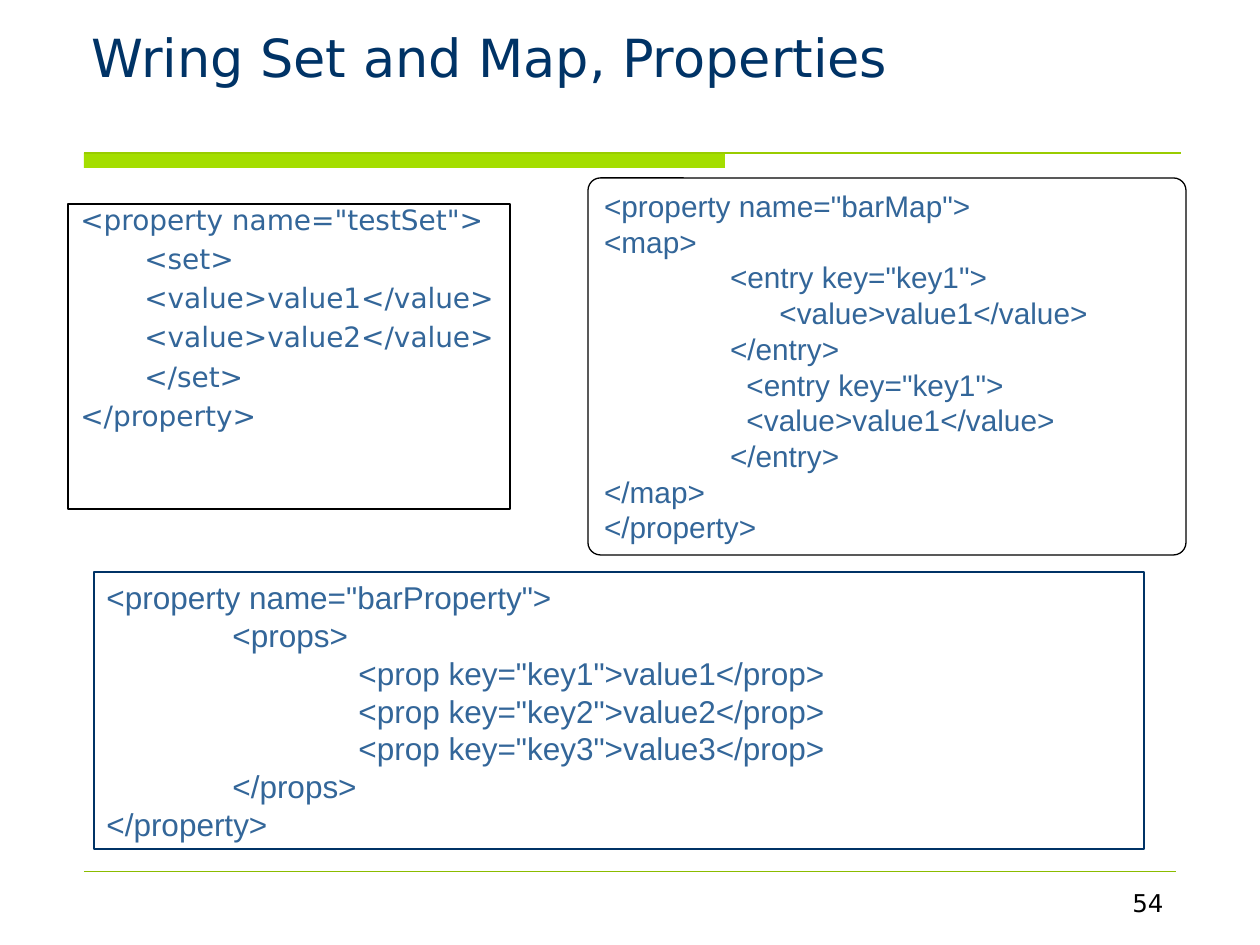
"""Build the slide on writing set, map and properties values in XML."""
from dataclasses import dataclass

from lxml.etree import SubElement
from pptx import Presentation
from pptx.dml.color import RGBColor
from pptx.enum.shapes import MSO_CONNECTOR, MSO_SHAPE
from pptx.enum.text import MSO_ANCHOR, MSO_AUTO_SIZE, PP_ALIGN
from pptx.oxml.ns import qn
from pptx.slide import Slide
from pptx.text.text import TextFrame
from pptx.util import Emu, Pt

EMU_PER_PX = 914400 / 126
TAB_STOPS = [126, 252]
COLORS = {
    "title": "003366",
    "code": "336699",
    "bar": "A4DE00",
    "rule": "99CC00",
    "footer_rule": "8BBC00",
    "black": "000000",
    "white": "FFFFFF",
}


@dataclass(frozen=True)
class CodePanel:
    left: int
    top: int
    width: int
    height: int
    code: str
    size: int
    font: str = "Arial"
    border: str = "black"
    outline: MSO_SHAPE = MSO_SHAPE.RECTANGLE
    hanging: int = 0
    fits_text: bool = True


@dataclass(frozen=True)
class Rule:
    left: int
    right: int
    y: int
    color: str
    weight: float


SET_CODE = """<property name="testSet">
\t<set>
\t<value>value1</value>
\t<value>value2</value>
\t</set>
</property>"""

MAP_CODE = """<property name="barMap">
<map>
\t<entry key="key1">
\t      <value>value1</value>
\t</entry>
\t  <entry key="key1">
\t  <value>value1</value>
\t</entry>
</map>
</property>"""

PROPERTIES_CODE = """<property name="barProperty">
\t<props>
\t\t<prop key="key1">value1</prop>
\t\t<prop key="key2">value2</prop>
\t\t<prop key="key3">value3</prop>
\t</props>
</property>"""

PANELS = [
    CodePanel(68, 204, 442, 305, SET_CODE, 16, font="DejaVu Sans", hanging=64, fits_text=False),
    CodePanel(588, 178, 598, 377, MAP_CODE, 17, outline=MSO_SHAPE.ROUNDED_RECTANGLE),
    CodePanel(94, 572, 1050, 277, PROPERTIES_CODE, 18, border="title"),
]
RULES = [
    Rule(84, 1181, 153, "rule", 0.75),
    Rule(84, 1176, 871, "footer_rule", 0.25),
]


def px(length: int) -> Emu:
    """Turn pixels into EMU."""
    return Emu(round(length * EMU_PER_PX))


def rgb(name: str) -> RGBColor:
    """Look up a named colour."""
    return RGBColor.from_string(COLORS[name])


def format_text(frame: TextFrame, font: str, size: int, color: str, align: PP_ALIGN) -> None:
    """Format every run of a text frame alike."""
    for paragraph in frame.paragraphs:
        paragraph.alignment = align
        for run in paragraph.runs:
            run.font.name = font
            run.font.size = Pt(size)
            run.font.color.rgb = rgb(color)


def hang_lines(frame: TextFrame, indent: int) -> None:
    """Give lines a hanging indent and tight, evenly parted spacing."""
    for index, paragraph in enumerate(frame.paragraphs):
        properties = paragraph._p.get_or_add_pPr()
        properties.set("marL", str(px(indent)))
        properties.set("indent", str(-px(indent)))
        paragraph.line_spacing = 0.75
        paragraph.space_before = Pt(4 if index else 0)
        paragraph.space_after = Pt(4)


def set_tab_stops(frame: TextFrame) -> None:
    """Give every line the same left tab stops."""
    for paragraph in frame.paragraphs:
        stops = SubElement(paragraph._p.get_or_add_pPr(), qn("a:tabLst"))
        for position in TAB_STOPS:
            SubElement(stops, qn("a:tab"), pos=str(px(position)), algn="l")


def draw_panel(slide: Slide, panel: CodePanel) -> None:
    """Draw a bordered panel of code."""
    box = slide.shapes.add_shape(
        panel.outline, px(panel.left), px(panel.top), px(panel.width), px(panel.height)
    )
    if panel.outline == MSO_SHAPE.ROUNDED_RECTANGLE:
        box.adjustments[0] = 0.033
    box.shadow.inherit = False
    box.fill.solid()
    box.fill.fore_color.rgb = rgb("white")
    box.line.color.rgb = rgb(panel.border)
    box.line.width = Pt(0.75)
    frame = box.text_frame
    frame.text = panel.code
    frame.word_wrap = True
    frame.vertical_anchor = MSO_ANCHOR.TOP
    frame.auto_size = MSO_AUTO_SIZE.SHAPE_TO_FIT_TEXT if panel.fits_text else MSO_AUTO_SIZE.NONE
    if panel.hanging:
        hang_lines(frame, panel.hanging)
    else:
        set_tab_stops(frame)
    format_text(frame, panel.font, panel.size, "code", PP_ALIGN.LEFT)


def draw_rule(slide: Slide, rule: Rule) -> None:
    """Draw a horizontal rule."""
    line = slide.shapes.add_connector(
        MSO_CONNECTOR.STRAIGHT, px(rule.left), px(rule.y), px(rule.right), px(rule.y)
    )
    line.line.color.rgb = rgb(rule.color)
    line.line.width = Pt(rule.weight)
    SubElement(line._element.spPr, qn("a:effectLst"))


def draw_bar(slide: Slide) -> None:
    """Draw the accent bar under the title."""
    bar = slide.shapes.add_shape(MSO_SHAPE.RECTANGLE, px(84), px(153), px(641), px(15))
    bar.shadow.inherit = False
    bar.fill.solid()
    bar.fill.fore_color.rgb = rgb("bar")
    bar.line.fill.background()


def set_title(slide: Slide, text: str) -> None:
    """Place and format the title."""
    title = slide.shapes.title
    title.left, title.top, title.width, title.height = px(79), px(41), px(1160), px(53)
    frame = title.text_frame
    frame.text = text
    frame.word_wrap = True
    frame.auto_size = MSO_AUTO_SIZE.NONE
    frame.vertical_anchor = MSO_ANCHOR.BOTTOM
    format_text(frame, "DejaVu Sans", 30, "title", PP_ALIGN.LEFT)


def draw_page_number(slide: Slide, number: str) -> None:
    """Write the page number at the lower right."""
    frame = slide.shapes.add_textbox(px(903), px(882), px(273), px(43)).text_frame
    frame.text = number
    frame.word_wrap = True
    format_text(frame, "DejaVu Sans", 14, "black", PP_ALIGN.RIGHT)


def main() -> None:
    """Build and save the presentation."""
    presentation = Presentation()
    presentation.slide_width, presentation.slide_height = px(1260), px(945)
    slide = presentation.slides.add_slide(presentation.slide_layouts[5])
    draw_bar(slide)
    for rule in RULES:
        draw_rule(slide, rule)
    set_title(slide, "Wring Set and Map, Properties")
    for panel in PANELS:
        draw_panel(slide, panel)
    draw_page_number(slide, "54")
    presentation.save("out.pptx")


if __name__ == "__main__":
    main()
